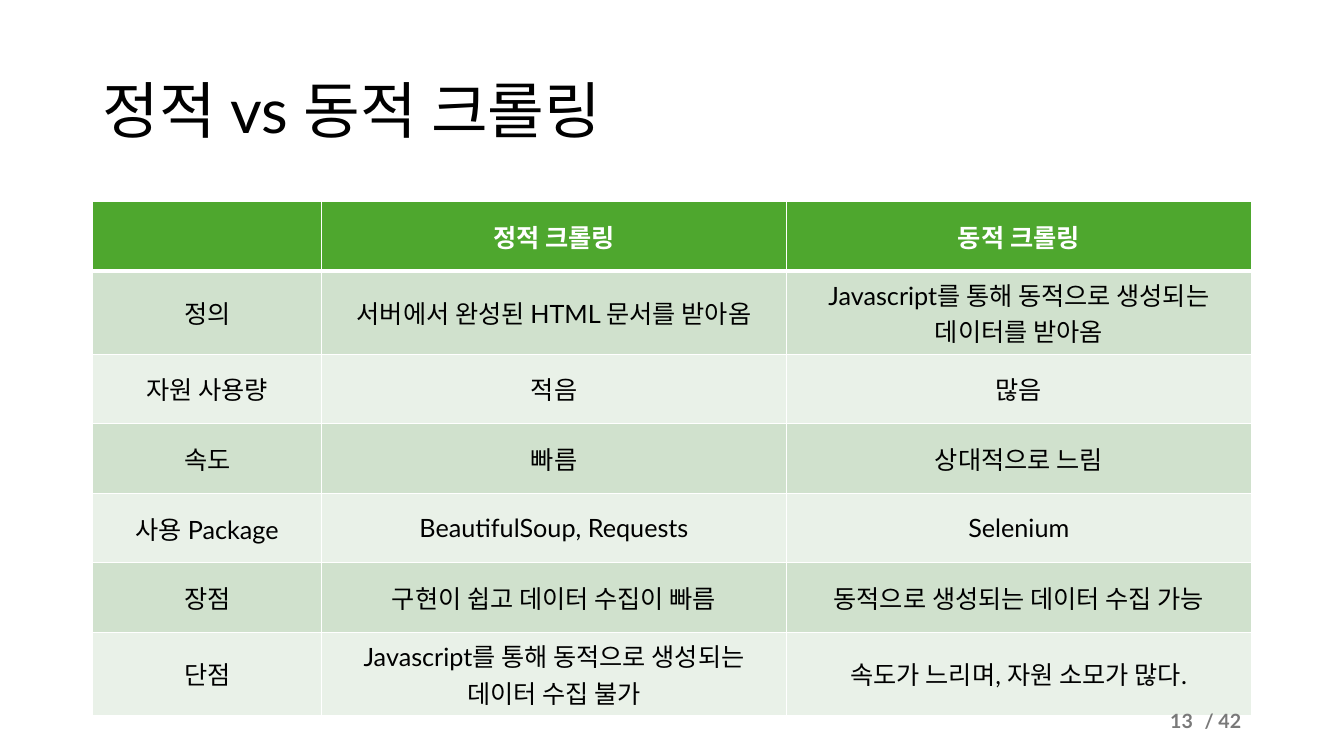
"""Builds a slide with a table comparing static and dynamic crawling."""
from lxml import etree
from pptx import Presentation
from pptx.dml.color import RGBColor
from pptx.enum.text import MSO_ANCHOR, PP_ALIGN
from pptx.oxml.ns import qn
from pptx.util import Inches, Pt

LEFT, CENTER, RIGHT = PP_ALIGN.LEFT, PP_ALIGN.CENTER, PP_ALIGN.RIGHT
MIDDLE = MSO_ANCHOR.MIDDLE

TITLE = "정적 vs 동적 크롤링"
ROWS = [
    ("", "정적 크롤링", "동적 크롤링"),
    ("정의", "서버에서 완성된 HTML 문서를 받아옴",
     "Javascript를 통해 동적으로 생성되는 데이터를 받아옴"),
    ("자원 사용량", "적음", "많음"),
    ("속도", "빠름", "상대적으로 느림"),
    ("사용 Package", "BeautifulSoup, Requests", "Selenium"),
    ("장점", "구현이 쉽고 데이터 수집이 빠름", "동적으로 생성되는 데이터 수집 가능"),
    ("단점", "Javascript를 통해 동적으로 생성되는 데이터 수집 불가",
     "속도가 느리며, 자원 소모가 많다."),
]
PAGE_PARTS = [("/ 42", 11.81, 0.6), ("13", 9.42, 2.51)]

FONT = "Lato"
BLACK, WHITE, GRAY = "000000", "FFFFFF", "797979"
HEADER, BANDS = "4EA72E", ("E9F1E8", "D0E1CD")
WIDTH, HEIGHT = 13.33, 7.5
MARGIN, TABLE_TOP, ROW_HEIGHT = 0.92, 2, 0.69
BODY_WIDTH = 11.5
COLUMNS = (2.27, 4.61, 4.61)


def rgb(value):
    return RGBColor.from_string(value)


def write(tf, text, size=18, color=BLACK, bold=False, align=CENTER, spacing=None):
    p = tf.paragraphs[0]
    p.alignment = align
    p.line_spacing = spacing
    p.font.size = Pt(size)
    if text:
        r = p.add_run()
        r.text = text
        r.font.name, r.font.size, r.font.bold = FONT, Pt(size), bold
        r.font.color.rgb = rgb(color)


def add_borders(cell, bottom):
    props = cell._tc.get_or_add_tcPr()
    for i, (side, width) in enumerate(zip("LRTB", (1, 1, 1, bottom))):
        ln = etree.Element(qn(f"a:ln{side}"), w=str(Pt(width)))
        fill = etree.SubElement(ln, qn("a:solidFill"))
        etree.SubElement(fill, qn("a:srgbClr"), val=WHITE)
        props.insert(i, ln)


def add_title(s):
    title = s.shapes.title
    title.left, title.top = Inches(MARGIN), Inches(0.4)
    title.width, title.height = Inches(BODY_WIDTH), Inches(1.45)
    title.text_frame.vertical_anchor = MIDDLE
    write(title.text_frame, TITLE, size=44, align=LEFT, spacing=0.9)


def add_comparison(s):
    table = s.shapes.add_table(
        len(ROWS), len(COLUMNS), Inches(MARGIN), Inches(TABLE_TOP),
        Inches(BODY_WIDTH), Inches(ROW_HEIGHT * len(ROWS))).table
    for column, width in zip(table.columns, COLUMNS):
        column.width = Inches(width)
    for i, texts in enumerate(ROWS):
        table.rows[i].height = Inches(ROW_HEIGHT)
        head = i == 0
        for j, text in enumerate(texts):
            cell = table.cell(i, j)
            cell.vertical_anchor = MIDDLE
            cell.fill.solid()
            cell.fill.fore_color.rgb = rgb(HEADER if head else BANDS[i % 2])
            add_borders(cell, bottom=3 if head else 1)
            write(cell.text_frame, text, color=WHITE if head else BLACK, bold=head)
            if i == 1:
                top = cell._tc.tcPr.find(qn("a:lnT"))
                top.set("w", str(Pt(3)))


def add_page_number(s):
    for text, left, width in PAGE_PARTS:
        tf = s.shapes.add_textbox(
            Inches(left), Inches(6.95), Inches(width), Inches(0.4)).text_frame
        tf.word_wrap = True
        tf.vertical_anchor = MIDDLE
        write(tf, text, size=14, color=GRAY, bold=True, align=RIGHT)


def main():
    prs = Presentation()
    prs.slide_width, prs.slide_height = Inches(WIDTH), Inches(HEIGHT)
    s = prs.slides.add_slide(prs.slide_layouts[5])
    add_title(s)
    add_comparison(s)
    add_page_number(s)
    prs.save("out.pptx")


if __name__ == "__main__":
    main()
